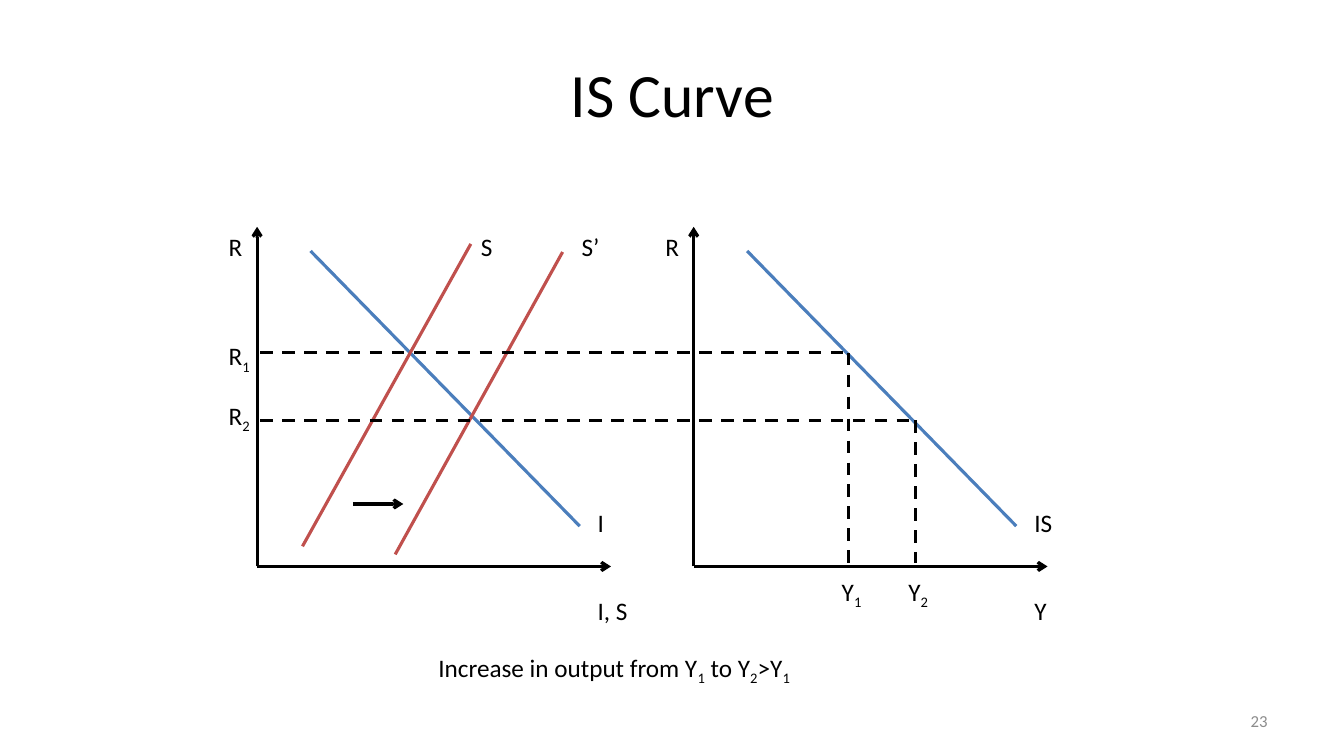
"""Build the IS curve slide: a savings and investment diagram beside the IS diagram."""
import pptx
import pptx.dml.color
import pptx.enum.dml
import pptx.enum.shapes
import pptx.enum.text
import pptx.oxml
import pptx.oxml.ns
import pptx.util

Inches = pptx.util.Inches
RGBColor = pptx.dml.color.RGBColor
Align = pptx.enum.text.PP_ALIGN
Anchor = pptx.enum.text.MSO_ANCHOR

BLACK = RGBColor(0x00, 0x00, 0x00)
GREY = RGBColor(0x8C, 0x8C, 0x8C)
BLUE = RGBColor(0x4B, 0x7E, 0xBC)
RED = RGBColor(0xC0, 0x50, 0x4D)

FONT = "Calibri"
TITLE = "IS Curve"
PAGE_NUMBER = "23"
CAPTION = ["Increase in output from Y", "1", " to Y", "2", ">Y", "1"]

AXIS_BOTTOM, AXIS_TOP, AXIS_LENGTH = 5.62, 2.25, 3.51
LABEL_HEIGHT = 0.4
RATE_AXIS_X = 2.55
DIAGRAMS = [
    {"x": RATE_AXIS_X, "axis": ("I, S", 0.5), "curve": ("I", 0.27)},
    {"x": 6.88, "axis": ("Y", 0.32), "curve": ("IS", 0.38)},
]
SAVING_CURVES = [
    {"start": (3, 5.42), "end": (4.67, 2.42), "label": "S", "x": 4.67, "width": 0.32},
    {"start": (3.92, 5.5), "end": (5.58, 2.5), "label": "S’", "x": 5.67, "width": 0.38},
]
SHIFT_ARROW = ((3.5, 5), (4, 5))
EQUILIBRIA = [
    {"index": "1", "output": 8.42, "rate": 3.5, "label_top": 3.33},
    {"index": "2", "output": 9.08, "rate": 4.17, "label_top": 3.92},
]


def add_line(slide, start, end, color=BLACK, arrow=False, dashed=False):
    line = slide.shapes.add_connector(
        pptx.enum.shapes.MSO_CONNECTOR.STRAIGHT,
        *(Inches(value) for value in (*start, *end)))
    line.line.color.rgb = color
    line.line.width = pptx.util.Pt(2.25)
    if dashed:
        line.line.dash_style = pptx.enum.dml.MSO_LINE.DASH
    properties = line._element.spPr
    if arrow:
        outline = properties.find(pptx.oxml.ns.qn("a:ln"))
        outline.append(pptx.oxml.parse_xml(
            f'<a:tailEnd {pptx.oxml.ns.nsdecls("a")} type="arrow"/>'))
    properties.append(pptx.oxml.parse_xml(
        f'<a:effectLst {pptx.oxml.ns.nsdecls("a")}/>'))


def add_text(slide, box, pieces, size=18, color=BLACK, align=Align.LEFT,
             anchor=Anchor.TOP, wrap=False):
    """Write pieces in a box, every second piece as a subscript."""
    text_box = slide.shapes.add_textbox(*(Inches(value) for value in box))
    frame = text_box.text_frame
    frame.word_wrap = wrap
    frame.vertical_anchor = anchor
    if not wrap:
        frame.auto_size = pptx.enum.text.MSO_AUTO_SIZE.SHAPE_TO_FIT_TEXT
    paragraph = frame.paragraphs[0]
    paragraph.alignment = align
    for position, piece in enumerate(pieces):
        run = paragraph.add_run()
        run.text = piece
        run.font.name = FONT
        run.font.size = pptx.util.Pt(size)
        run.font.color.rgb = color
        if position % 2:
            run._r.get_or_add_rPr().set("baseline", "-25000")


def add_label(slide, left, top, width, *pieces):
    add_text(slide, (left, top, width, LABEL_HEIGHT), pieces)


def add_diagram(slide, diagram):
    x = diagram["x"]
    origin = (x, AXIS_BOTTOM)
    add_line(slide, origin, (x, AXIS_TOP), arrow=True)
    add_line(slide, origin, (x + AXIS_LENGTH, AXIS_BOTTOM), arrow=True)
    add_line(slide, (x + 0.53, 2.49), (x + 3.2, 5.22), BLUE)
    add_label(slide, x - 0.38, AXIS_TOP, 0.31, "R")
    for top, key in ((5.86, "axis"), (4.98, "curve")):
        text, width = diagram[key]
        add_label(slide, x + 3.28, top, width, text)


def add_equilibrium(slide, equilibrium):
    output, rate = equilibrium["output"], equilibrium["rate"]
    index = equilibrium["index"]
    add_line(slide, (RATE_AXIS_X + 0.03, rate), (output, rate), dashed=True)
    add_line(slide, (output, rate), (output, AXIS_BOTTOM - 0.03), dashed=True)
    add_label(slide, RATE_AXIS_X - 0.38, equilibrium["label_top"], 0.43, "R", index)
    add_label(slide, output - 0.17, 5.67, 0.41, "Y", index)


def main():
    presentation = pptx.Presentation()
    presentation.slide_width = Inches(13.33)
    presentation.slide_height = Inches(7.5)
    slide = presentation.slides.add_slide(presentation.slide_layouts[6])

    add_text(slide, (0.67, 0.3, 12, 1.25), [TITLE], 44,
             align=Align.CENTER, anchor=Anchor.MIDDLE, wrap=True)
    add_text(slide, (9.56, 6.95, 3.11, 0.4), [PAGE_NUMBER], 12, GREY,
             Align.RIGHT, Anchor.MIDDLE, wrap=True)
    for diagram in DIAGRAMS:
        add_diagram(slide, diagram)
    for curve in SAVING_CURVES:
        add_line(slide, curve["start"], curve["end"], RED)
        add_label(slide, curve["x"], AXIS_TOP, curve["width"], curve["label"])
    add_line(slide, *SHIFT_ARROW, arrow=True)
    for equilibrium in EQUILIBRIA:
        add_equilibrium(slide, equilibrium)
    add_label(slide, 4.25, 6.42, 3.76, *CAPTION)

    presentation.save("out.pptx")


if __name__ == "__main__":
    main()
